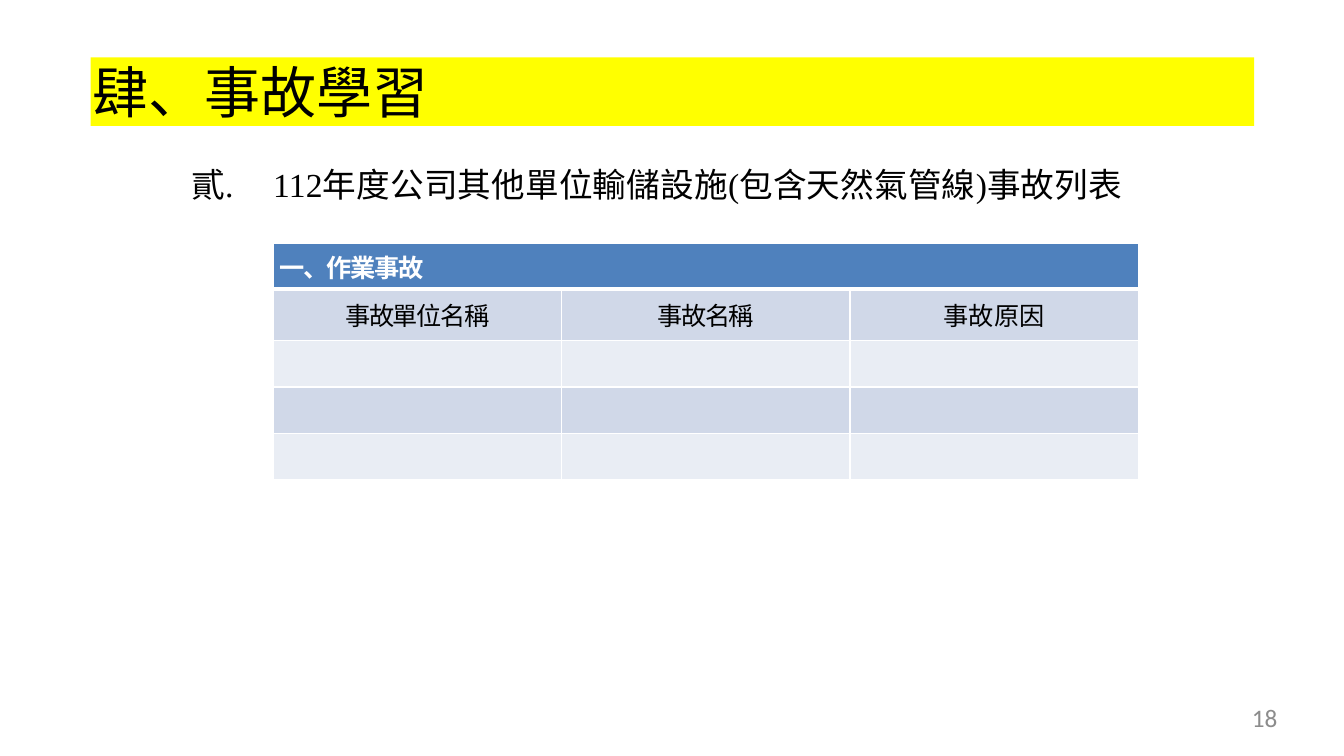
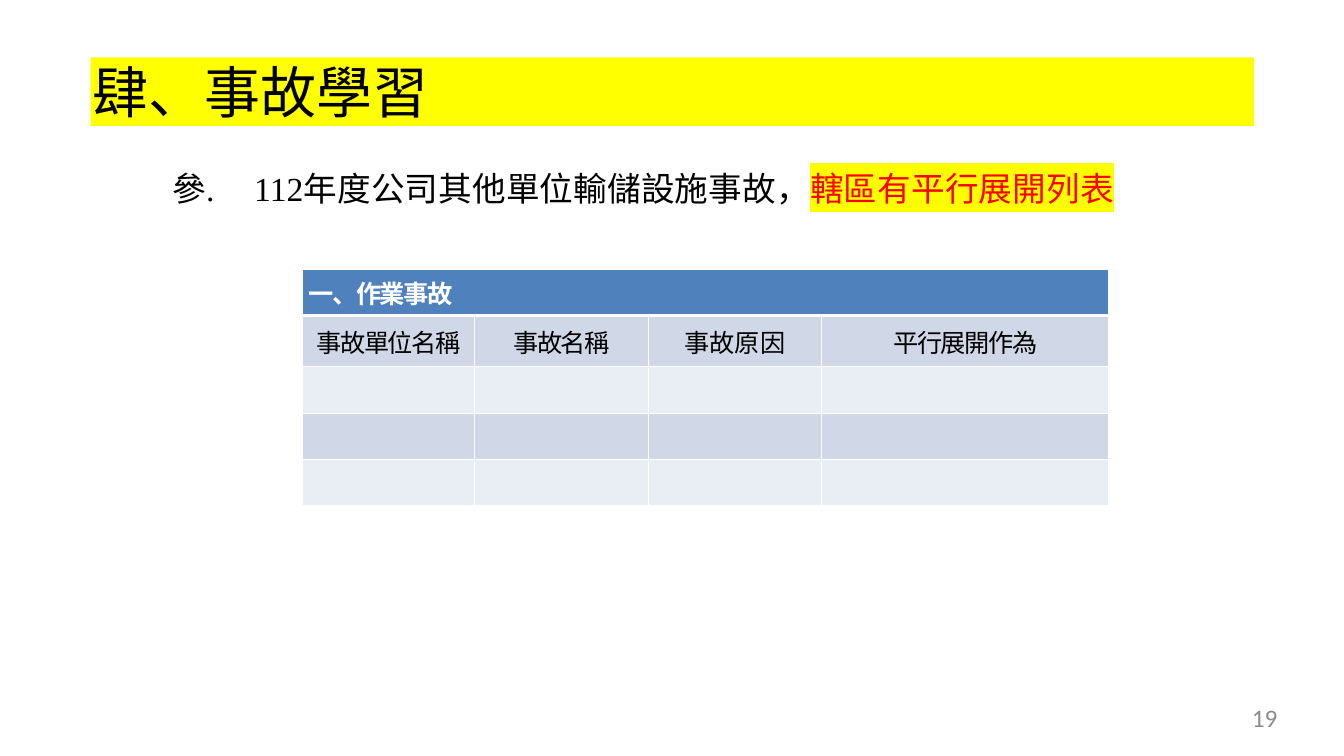
from dataclasses import dataclass

from lxml import etree
from pptx import Presentation
from pptx import util as u
from pptx.dml.color import RGBColor
from pptx.enum import shapes, text
from pptx.oxml.ns import qn


@dataclass(frozen=True)
class Theme:
    serif: str = "Times New Roman"
    sans: str = "Calibri"
    asian: str = "Noto Sans CJK SC"
    title_size: int = 40
    heading_size: int = 24
    small_size: int = 18
    black: str = "000000"
    white: str = "FFFFFF"
    yellow: str = "FFFF00"
    red: str = "FF0000"
    gray: str = "8C8C8C"
    header: str = "4F81BD"
    bands: tuple = ("D0D8E8", "E9EDF4")


THEME = Theme()
TITLE_BOX = (0.9, 0.57, 11.54, 0.68)
NUMBER_BOX = (9.6, 6.97, 3.07, 0.3)
ROW_HEIGHTS = (0.46, 0.51, 0.46, 0.46, 0.46)


def inches(box):
    return [u.Inches(length) for length in box]


def add_xml(parent, tag, **attributes):
    return etree.SubElement(parent, qn(tag), attributes)


def add_color(parent, color):
    add_xml(parent, "a:srgbClr", val=color)


def fill_solid(item, color):
    item.fill.solid()
    item.fill.fore_color.rgb = RGBColor.from_string(color)


def style_para(para, size, color, name, bold=False, spacing=0):
    para.font.size = u.Pt(size)
    para.font.bold = bold
    para.font.name = name
    para.font.color.rgb = RGBColor.from_string(color)
    defaults = para._p.get_or_add_pPr().get_or_add_defRPr()
    defaults.set("spc", str(round(spacing * 100)))
    add_xml(defaults, "a:ea", typeface=THEME.asian)


def clear_margins(shape):
    frame = shape.text_frame
    frame.word_wrap = True
    frame.margin_left = frame.margin_top = 0
    frame.margin_right = frame.margin_bottom = 0
    frame.vertical_anchor = text.MSO_ANCHOR.TOP
    return frame.paragraphs[0]


def set_indent(para, left, first=0):
    properties = para._p.get_or_add_pPr()
    properties.set("marL", str(u.Inches(left)))
    properties.set("indent", str(u.Inches(first)))
    return properties


def add_title(page, box, words):
    band = page.shapes.add_shape(shapes.MSO_SHAPE.RECTANGLE, *inches(box))
    band.shadow.inherit = False
    fill_solid(band, THEME.yellow)
    band.line.fill.background()
    para = clear_margins(band)
    para.text = words
    para.alignment = text.PP_ALIGN.LEFT
    set_indent(para, 0.02)
    style_para(para, THEME.title_size, THEME.black, THEME.serif, spacing=0.1)


def add_page_number(page, box, number):
    para = clear_margins(page.shapes.add_textbox(*inches(box)))
    para.text = str(number)
    para.alignment = text.PP_ALIGN.RIGHT
    style_para(para, THEME.small_size, THEME.gray, THEME.sans)


def add_heading(page, box, start, words, marked=""):
    para = clear_margins(page.shapes.add_textbox(*inches(box)))
    properties = set_indent(para, 0.83, -0.81)
    add_xml(properties, "a:buAutoNum", type="ea1ChtPeriod", startAt=str(start))
    style_para(para, THEME.heading_size, THEME.black, THEME.serif, spacing=0.1)
    para.add_run().text = words
    if marked:
        span = para.add_run()
        span.text = marked
        span.font.color.rgb = RGBColor.from_string(THEME.red)
        add_color(add_xml(span._r.get_or_add_rPr(), "a:highlight"), THEME.yellow)


def style_cell(cell, row):
    cell.vertical_anchor = text.MSO_ANCHOR.MIDDLE
    cell.margin_left = cell.margin_right = u.Inches(0.06)
    cell.margin_top = cell.margin_bottom = u.Inches(0.03)
    properties = cell._tc.get_or_add_tcPr()
    for side in ("L", "R", "T", "B"):
        thick = (row, side) in ((0, "B"), (1, "T"))
        border = add_xml(properties, f"a:ln{side}", w=str(u.Pt(3 if thick else 1)))
        add_color(add_xml(border, "a:solidFill"), THEME.white)
    fill_solid(cell, THEME.bands[(row - 1) % 2] if row else THEME.header)
    para = cell.text_frame.paragraphs[0]
    if row:
        para.alignment = text.PP_ALIGN.CENTER
    color = THEME.black if row else THEME.white
    spacing = 0 if cell.text == "事故原因" else -1
    style_para(para, THEME.small_size, color, THEME.asian, row == 0, spacing)


def add_accident_table(page, left, top, caption, columns):
    box = (left, top, sum(columns.values()), sum(ROW_HEIGHTS))
    frame = page.shapes.add_table(len(ROW_HEIGHTS), len(columns), *inches(box))
    table = frame.table
    for column, (label, width) in enumerate(columns.items()):
        table.columns[column].width = u.Inches(width)
        table.cell(1, column).text = label
    table.cell(0, 0).text = caption
    for row, height in enumerate(ROW_HEIGHTS):
        table.rows[row].height = u.Inches(height)
        for cell in table.rows[row].cells:
            style_cell(cell, row)
    table.cell(0, 0).merge(table.cell(0, len(columns) - 1))


def add_accident_page(deck, number, heading_box, heading, table_at, columns):
    page = deck.slides.add_slide(deck.slide_layouts[6])
    add_title(page, TITLE_BOX, "肆、事故學習")
    add_accident_table(page, *table_at, "一、作業事故", columns)
    add_page_number(page, NUMBER_BOX, number)
    add_heading(page, heading_box, *heading)


def main():
    deck = Presentation()
    deck.slide_width, deck.slide_height = inches((13.33, 7.5))
    add_accident_page(
        deck, 18, (1.88, 1.63, 10.24, 0.4),
        (2, "112年度公司其他單位輸儲設施(包含天然氣管線)事故列表"),
        (2.71, 2.41),
        dict.fromkeys(("事故單位名稱", "事故名稱", "事故原因"), 2.86),
    )
    add_accident_page(
        deck, 19, (1.69, 1.67, 10.79, 0.4),
        (3, "112年度公司其他單位輸儲設施事故，", "轄區有平行展開列表"),
        (3, 2.67),
        {"事故單位名稱": 1.71, "事故名稱": 1.72, "事故原因": 1.72, "平行展開作為": 2.85},
    )
    deck.save("out.pptx")


if __name__ == "__main__":
    main()
